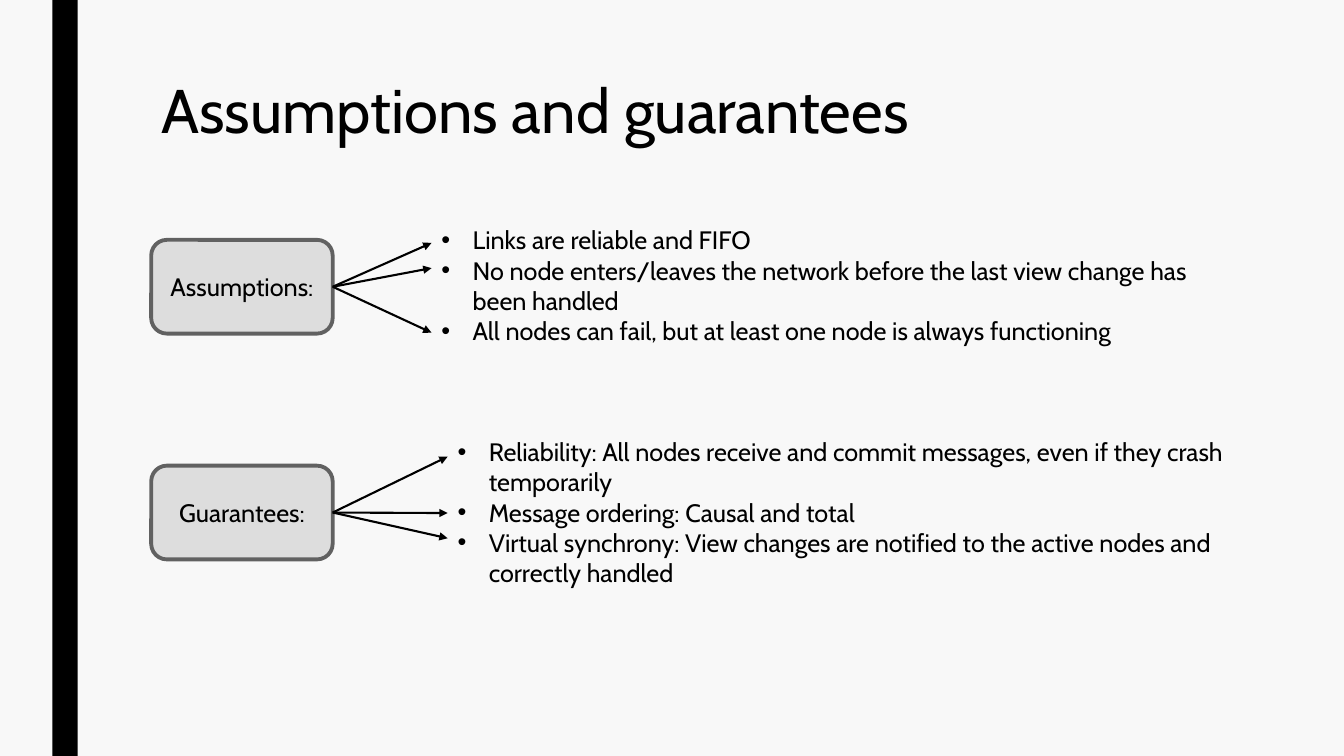
from dataclasses import dataclass

from pptx import Presentation
from pptx.dml.color import RGBColor
from pptx.enum.shapes import MSO_CONNECTOR, MSO_SHAPE
from pptx.enum.text import MSO_ANCHOR, MSO_AUTO_SIZE, PP_ALIGN
from pptx.oxml.ns import qn
from pptx.slide import Slide
from pptx.util import Inches, Pt
from lxml.etree import SubElement

COLORS = {"back": "F8F8F8", "ink": "000000", "fill": "DDDDDD", "edge": "616161"}
BODY = {"name": "Cabin", "size": Pt(18)}
HEAD = {"name": "Cabin", "size": Pt(44)}
BOX_LEFT, BOX_WIDTH, BOX_HEIGHT = 1.5, 1.8, 0.93
LIST_WIDTH, INDENT = 8.04, 0.31


@dataclass
class Group:
    label: str
    top: float
    left: float
    list_top: float
    list_height: float
    points: list[str]
    tips: list[float]


GROUPS = [
    Group("Assumptions:", 2.38, 4.28, 2.18, 1.31,
          ["Links are reliable and FIFO",
           "No node enters/leaves the network before the last view change has been handled",
           "All nodes can fail, but at least one node is always functioning"],
          [2.41, 2.66, 3.3]),
    Group("Guarantees:", 4.62, 4.44, 4.28, 1.62,
          ["Reliability: All nodes receive and commit messages, even if they crash temporarily",
           "Message ordering: Causal and total",
           "Virtual synchrony: View changes are notified to the active nodes and correctly handled"],
          [4.53, 5.09, 5.34]),
]


def color(key: str) -> RGBColor:
    return RGBColor.from_string(COLORS[key])


def style(par, text: str, values: dict) -> None:
    run = par.add_run()
    run.text = text
    for name, value in values.items():
        setattr(run.font, name, value)
    run.font.color.rgb = color("ink")


def add_box(slide: Slide, group: Group):
    box = slide.shapes.add_shape(
        MSO_SHAPE.ROUNDED_RECTANGLE, Inches(BOX_LEFT), Inches(group.top),
        Inches(BOX_WIDTH), Inches(BOX_HEIGHT))
    box.shadow.inherit = False
    box.fill.solid()
    box.fill.fore_color.rgb = color("fill")
    box.line.color.rgb = color("edge")
    box.line.width = Pt(2.75)
    frame = box.text_frame
    frame.vertical_anchor = MSO_ANCHOR.MIDDLE
    par = frame.paragraphs[0]
    par.alignment = PP_ALIGN.CENTER
    style(par, group.label, BODY)
    return box


def add_list(slide: Slide, group: Group) -> None:
    frame = slide.shapes.add_textbox(
        Inches(group.left), Inches(group.list_top),
        Inches(LIST_WIDTH), Inches(group.list_height)).text_frame
    frame.word_wrap = True
    frame.auto_size = MSO_AUTO_SIZE.SHAPE_TO_FIT_TEXT
    for i, point in enumerate(group.points):
        par = frame.add_paragraph() if i else frame.paragraphs[0]
        props = par._p.get_or_add_pPr()
        props.set("marL", str(Inches(INDENT)))
        props.set("indent", str(-Inches(INDENT)))
        SubElement(props, qn("a:buFont"), typeface="Arial")
        SubElement(props, qn("a:buChar"), char="•")
        style(par, point, BODY)


def add_arrow(slide: Slide, box, left: float, tip: float) -> None:
    arrow = slide.shapes.add_connector(
        MSO_CONNECTOR.STRAIGHT, box.left + box.width, box.top + box.height // 2,
        Inches(left), Inches(tip))
    arrow.begin_connect(box, 3)
    arrow.line.color.rgb = color("ink")
    arrow.line.width = Pt(1.5)
    SubElement(arrow.line._get_or_add_ln(), qn("a:tailEnd"), type="triangle")
    SubElement(arrow._element.spPr, qn("a:effectLst"))


def main() -> None:
    deck = Presentation()
    deck.slide_width, deck.slide_height = Inches(13.33), Inches(7.5)
    slide = deck.slides.add_slide(deck.slide_layouts[5])
    slide.background.fill.solid()
    slide.background.fill.fore_color.rgb = color("back")

    # Side bar
    bar = slide.shapes.add_shape(
        MSO_SHAPE.RECTANGLE, Inches(0.52), 0, Inches(0.25), deck.slide_height)
    bar.shadow.inherit = False
    bar.fill.solid()
    bar.fill.fore_color.rgb = color("ink")
    bar.line.fill.background()

    # Title
    title = slide.shapes.title
    title.left, title.top = Inches(1.5), Inches(0.75)
    title.width, title.height = Inches(10.5), Inches(1.62)
    frame = title.text_frame
    frame.auto_size = MSO_AUTO_SIZE.NONE
    frame.vertical_anchor = MSO_ANCHOR.TOP
    par = frame.paragraphs[0]
    par.alignment = PP_ALIGN.LEFT
    par.line_spacing = 0.89
    style(par, "Assumptions and guarantees", HEAD)

    # Labelled boxes, each with arrows to its list
    for group in GROUPS:
        box = add_box(slide, group)
        add_list(slide, group)
        for tip in group.tips:
            add_arrow(slide, box, group.left, tip)

    deck.save("out.pptx")


if __name__ == "__main__":
    main()
